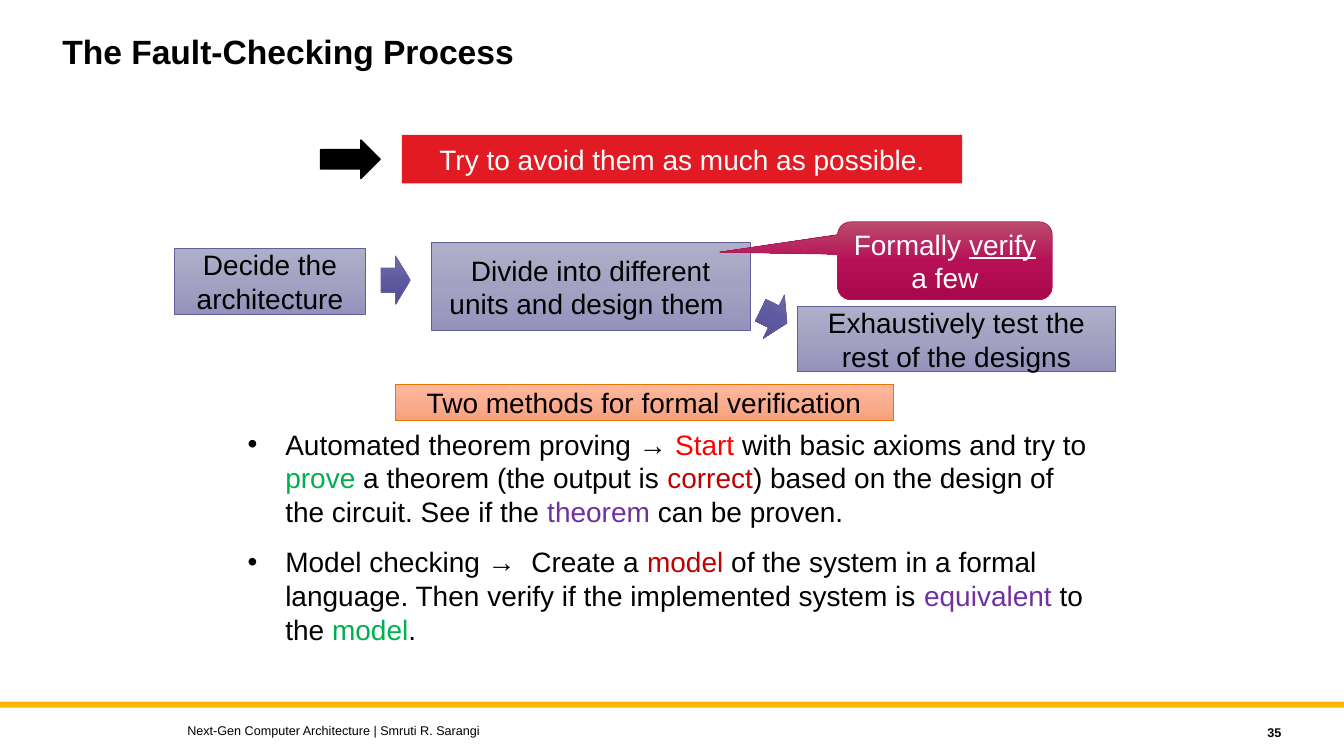
from lxml import etree
from pptx import Presentation
from pptx import util as u
from pptx.dml.color import RGBColor
from pptx.enum import shapes, text
from pptx.oxml.ns import qn

SHAPE = shapes.MSO_SHAPE
ALIGN = text.PP_ALIGN
ANCHOR = text.MSO_ANCHOR

BLACK, WHITE = "000000", "FFFFFF"
RED, DARK_RED, GREEN, PURPLE = "FF0000", "C00000", "00B050", "7030A0"
STEP = (("B0AFCA", "A4A2C2", "9492BB"), "625D9C")
ARROW = (("7571A8", "5F5A9F", "524D90"), "625D9C")
CALLOUT = (("BA4D6E", "B71057", "A9084C"), "AF1858")
METHODS = (("FFB89D", "FAAD90", "F9A17C"), "EC7700")


def color(value):
    return RGBColor.from_string(value)


def add_runs(para, runs, size, ink=BLACK, bold=False):
    for words, *style in runs:
        span = para.add_run()
        span.text = words
        font = span.font
        font.name, font.size, font.bold = "Arial", u.Pt(size), bold
        font.color.rgb = color(style[0] if style else ink)
        if "underline" in style[1:]:
            font.underline = True


def add_label(page, box, words, size, anchor=ANCHOR.MIDDLE, align=ALIGN.LEFT, bold=False):
    label = page.shapes.add_textbox(*map(u.Cm, box))
    frame = label.text_frame
    frame.word_wrap = True
    frame.vertical_anchor = anchor
    para = frame.paragraphs[0]
    para.alignment = align
    add_runs(para, [(words,)], size, bold=bold)
    return para


def fill_gradient(shape, stops):
    shape.fill.gradient()
    shape.fill.gradient_angle = 270
    stop_list = shape._element.spPr.find(qn("a:gradFill")).find(qn("a:gsLst"))
    for stop in list(stop_list):
        stop_list.remove(stop)
    for index, value in enumerate(stops):
        stop = etree.SubElement(stop_list, qn("a:gs"), pos=str(index * 50000))
        etree.SubElement(stop, qn("a:srgbClr"), val=value)


def add_block(page, kind, box, look, runs=(), ink=BLACK, line_width=0.5):
    fill, line = look
    block = page.shapes.add_shape(kind, *map(u.Cm, box))
    block.shadow.inherit = False
    if isinstance(fill, str):
        block.fill.solid()
        block.fill.fore_color.rgb = color(fill)
    else:
        fill_gradient(block, fill)
    if line:
        block.line.color.rgb = color(line)
        block.line.width = u.Pt(line_width)
    else:
        block.line.fill.background()
    if runs:
        frame = block.text_frame
        frame.word_wrap = True
        frame.vertical_anchor = ANCHOR.MIDDLE
        para = frame.paragraphs[0]
        para.alignment = ALIGN.CENTER
        add_runs(para, runs, 20, ink)
    return block


def add_title(page, box):
    para = add_label(page, box, "The Fault-Checking Process", 24, ANCHOR.TOP, bold=True)
    para.line_spacing = 0.9


def add_footer(page, box):
    left, top, width, height = box
    add_block(page, SHAPE.RECTANGLE, (left, top, width, 0.15), ("FFB600", None))
    add_label(page, (left + 4.47, top + 0.4, 20.32, 0.64),
              "Next-Gen Computer Architecture | Smruti R. Sarangi", 9)
    add_label(page, (left + 28.98, top + 0.46, 3.56, 0.64), "35", 9,
              align=ALIGN.RIGHT, bold=True)


def add_advice(page, box):
    left, top, width, height = box
    add_block(page, SHAPE.RIGHT_ARROW, (left, top + 0.13, 1.5, 0.97), (BLACK, BLACK),
              line_width=1)
    add_block(page, SHAPE.RECTANGLE, (left + 2.05, top, width - 2.05, height),
              ("E21A23", None), [("Try to avoid them as much as possible.",)], WHITE)


def add_flow(page, box):
    left, top, width, height = box
    steps = [
        (0, 0.68, 4.83, 1.65, "Decide the architecture"),
        (6.48, 0.53, 8.03, 2.21, "Divide into different units and design them "),
        (width - 8.03, height - 1.65, 8.03, 1.65, "Exhaustively test the rest of the designs"),
    ]
    for x, y, step_width, step_height, words in steps:
        add_block(page, SHAPE.RECTANGLE, (left + x, top + y, step_width, step_height),
                  STEP, [(words,)])
    for x, y, angle in [(5.21, 0.86, 0), (14.74, 1.78, -26 + 52)]:
        arrow = add_block(page, SHAPE.RIGHT_ARROW, (left + x, top + y, 0.74, 1.22), ARROW)
        arrow.rotation = angle
    callout = add_block(page, SHAPE.ROUNDED_RECTANGULAR_CALLOUT,
                        (left + 16.72, top, 5.41, 1.96), CALLOUT,
                        [("Formally ",), ("verify", WHITE, "underline"), (" a few",)], WHITE)
    for index, value in enumerate((-1.05, -0.11, 0.17)):
        callout.adjustments[index] = value


def add_methods(page, box):
    left, top, width, height = box
    add_block(page, SHAPE.RECTANGLE, (left + 3.97, top, 12.55, 0.91), METHODS,
              [("Two methods for formal verification",)])
    points = [
        [("Automated theorem proving → ",), ("Start", RED),
         (" with basic axioms and try to ",), ("prove", GREEN),
         (" a theorem (the output is ",), ("correct", DARK_RED),
         (") based on the design of the circuit. See if the ",), ("theorem", PURPLE),
         (" can be proven.",)],
        [("Model checking →  Create a ",), ("model", DARK_RED),
         (" of the system in a formal language. Then verify if the implemented system is ",),
         ("equivalent", PURPLE), (" to the ",), ("model", GREEN), (".",)],
    ]
    body = page.shapes.add_textbox(*map(u.Cm, (left, top + 0.96, width, height - 0.96)))
    frame = body.text_frame
    frame.word_wrap = True
    for index, runs in enumerate(points):
        para = frame.add_paragraph() if index else frame.paragraphs[0]
        indent = u.Cm(0.95)
        props = para._p.get_or_add_pPr()
        props.set("marL", str(indent))
        props.set("indent", str(-indent))
        etree.SubElement(props, qn("a:buFont"), typeface="Arial")
        etree.SubElement(props, qn("a:buChar"), char="•")
        if index:
            para.space_before = u.Pt(12)
        add_runs(para, runs, 20)


def main():
    deck = Presentation()
    deck.slide_width, deck.slide_height = u.Cm(33.87), u.Cm(19.05)
    page = deck.slides.add_slide(deck.slide_layouts[6])
    add_footer(page, (0, 17.68, 33.87, 1.37))
    add_title(page, (1.32, 0.76, 25.4, 2.29))
    add_advice(page, (8.08, 3.4, 16.17, 1.22))
    add_flow(page, (4.39, 5.59, 23.73, 3.78))
    add_methods(page, (5.99, 9.68, 21.87, 6.95))
    deck.save("out.pptx")


if __name__ == "__main__":
    main()
